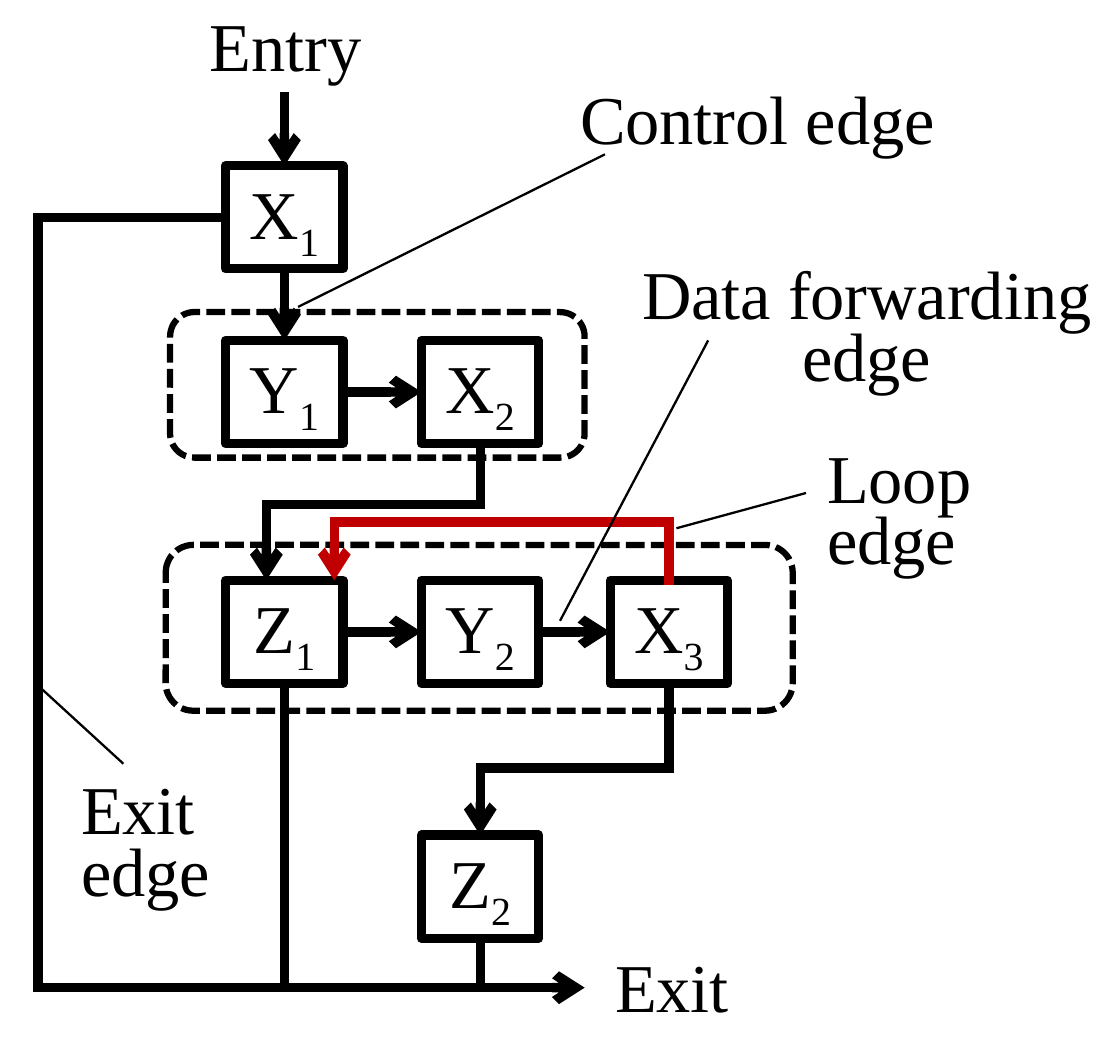
from dataclasses import dataclass
from itertools import pairwise

from lxml.etree import SubElement
from pptx import Presentation
from pptx.dml.color import RGBColor
from pptx.enum.dml import MSO_LINE
from pptx.enum.shapes import MSO_CONNECTOR, MSO_SHAPE
from pptx.enum.text import MSO_ANCHOR, MSO_AUTO_SIZE, PP_ALIGN
from pptx.oxml.ns import qn
from pptx.util import Cm, Pt


@dataclass(frozen=True)
class Theme:
    ink: RGBColor = RGBColor(0, 0, 0)
    loop: RGBColor = RGBColor(0xC0, 0, 0)
    font: str = "Times New Roman"
    size: float = 22
    edge: float = 3
    group: float = 2
    leader: float = 0.75


def write(frame, text, theme, subscript="", align=PP_ALIGN.CENTER,
          anchor=MSO_ANCHOR.TOP, spacing=None):
    frame.word_wrap = True
    frame.vertical_anchor = anchor
    frame.margin_left = frame.margin_right = Cm(0.13)
    frame.margin_top = frame.margin_bottom = Cm(0.07)
    for index, line in enumerate(text.split("\n")):
        paragraph = frame.add_paragraph() if index else frame.paragraphs[0]
        paragraph.alignment = align
        if spacing:
            paragraph.line_spacing = spacing
        for part, baseline in ((line, 0), (subscript, -25000)):
            if not part:
                continue
            run = paragraph.add_run()
            run.text = part
            run.font.name = theme.font
            run.font.size = Pt(theme.size)
            run.font.color.rgb = theme.ink
            if baseline:
                run._r.get_or_add_rPr().set("baseline", str(baseline))


class FlowDiagram:
    def __init__(self, slide, theme):
        self.slide = slide
        self.theme = theme

    def outline(self, kind, left, top, width, height, weight):
        shape = self.slide.shapes.add_shape(
            kind, Cm(left), Cm(top), Cm(width), Cm(height))
        shape.shadow.inherit = False
        shape.fill.background()
        shape.line.color.rgb = self.theme.ink
        shape.line.width = Pt(weight)
        return shape

    def block(self, letter, number, left, top):
        shape = self.outline(MSO_SHAPE.RECTANGLE, left, top,
                             BLOCK_WIDTH, BLOCK_HEIGHT, self.theme.edge)
        write(shape.text_frame, letter, self.theme, subscript=number,
              anchor=MSO_ANCHOR.MIDDLE)

    def group(self, left, top, width, height):
        shape = self.outline(MSO_SHAPE.ROUNDED_RECTANGLE, left, top,
                             width, height, self.theme.group)
        shape.adjustments[0] = 0.167
        shape.line.dash_style = MSO_LINE.SQUARE_DOT
        shape.line._get_or_add_ln().find(qn("a:prstDash")).set("val", "sysDash")

    def label(self, text, left, top, width, height, **style):
        box = self.slide.shapes.add_textbox(
            Cm(left), Cm(top), Cm(width), Cm(height))
        write(box.text_frame, text, self.theme, **style)
        box.text_frame.auto_size = MSO_AUTO_SIZE.SHAPE_TO_FIT_TEXT

    def line(self, start, end, weight, color, arrow=False, square=False):
        connector = self.slide.shapes.add_connector(
            MSO_CONNECTOR.STRAIGHT, *map(Cm, start + end))
        connector.line.width = Pt(weight)
        connector.line.color.rgb = color
        outline = connector.line._get_or_add_ln()
        if square:
            outline.set("cap", "sq")
        if arrow:
            SubElement(outline, qn("a:tailEnd"), type="arrow")
        SubElement(connector._element.spPr, qn("a:effectLst"))

    def route(self, *points, color=None, arrow=True):
        last = len(points) - 2
        for index, (start, end) in enumerate(pairwise(points)):
            self.line(start, end, self.theme.edge, color or self.theme.ink,
                      arrow=arrow and index == last, square=index < last)

    def leader(self, start, end):
        self.line(start, end, self.theme.leader, self.theme.ink)


BLOCK_WIDTH, BLOCK_HEIGHT = 1.33, 1.17
COLUMNS = (2.56, 4.78, 6.92)
ROWS = (1.88, 3.86, 6.58, 9.47)
BLOCKS = (("X", "1", 0, 0), ("Y", "1", 0, 1), ("X", "2", 1, 1),
          ("Z", "1", 0, 2), ("Y", "2", 1, 2), ("X", "3", 2, 2),
          ("Z", "2", 1, 3))


def main():
    presentation = Presentation()
    presentation.slide_width, presentation.slide_height = Cm(12.7), Cm(11.94)
    slide = presentation.slides.add_slide(presentation.slide_layouts[6])
    theme = Theme()
    diagram = FlowDiagram(slide, theme)

    for letter, number, column, row in BLOCKS:
        diagram.block(letter, number, COLUMNS[column], ROWS[row])
    diagram.group(1.93, 3.54, 4.7, 1.65)
    diagram.group(1.88, 6.18, 7.11, 1.88)

    first, second, third = (left + BLOCK_WIDTH / 2 for left in COLUMNS)
    first_right, second_right = (left + BLOCK_WIDTH for left in COLUMNS[:2])
    bottoms = [top + BLOCK_HEIGHT for top in ROWS]
    top_middle, pair_middle, loop_middle, _ = (
        top + BLOCK_HEIGHT / 2 for top in ROWS)
    exit_x, exit_y = 0.43, 11.2
    turn_y, loop_y, last_turn_y = 5.72, 5.92, 8.71
    entry_x, return_x = 3.02, 3.79

    diagram.route((first, 1.04), (first, ROWS[0]))
    diagram.route((first, bottoms[0]), (first, ROWS[1]))
    diagram.route((first_right, pair_middle), (COLUMNS[1], pair_middle))
    diagram.route((first_right, loop_middle), (COLUMNS[1], loop_middle))
    diagram.route((second_right, loop_middle), (COLUMNS[2], loop_middle))
    diagram.route((second, bottoms[1]), (second, turn_y),
                  (entry_x, turn_y), (entry_x, ROWS[2]))
    diagram.route((third, ROWS[2]), (third, loop_y),
                  (return_x, loop_y), (return_x, ROWS[2]), color=theme.loop)
    diagram.route((third, bottoms[2]), (third, last_turn_y),
                  (second, last_turn_y), (second, ROWS[3]))
    diagram.route((COLUMNS[0], top_middle), (exit_x, top_middle),
                  (exit_x, exit_y), (6.63, exit_y))
    diagram.route((first, bottoms[2]), (first, exit_y), arrow=False)
    diagram.route((second, bottoms[3]), (second, exit_y), arrow=False)

    tight = {"spacing": 0.75}
    tight_left = {"spacing": 0.75, "align": PP_ALIGN.LEFT}
    diagram.label("Entry", 2.06, -0.03, 2.36, 1.07)
    diagram.label("Exit", 6.58, 10.64, 2.08, 1.07)
    diagram.label("Control edge", 5.72, 0.79, 5.74, 1.07)
    diagram.label("Data forwarding edge", 7.01, 3, 5.64, 1.52, **tight)
    diagram.label("Loop edge", 9.25, 5.08, 2.21, 1.52, **tight_left)
    diagram.label("Exit\nedge", 0.79, 8.84, 2.06, 1.52, **tight_left)

    diagram.leader((3.38, 3.48), (6.86, 1.75))
    diagram.leader((0.46, 7.8), (1.4, 8.66))
    diagram.leader((6.35, 7.04), (8.03, 3.86))
    diagram.leader((7.67, 5.99), (9.14, 5.59))

    presentation.save("out.pptx")


if __name__ == "__main__":
    main()
